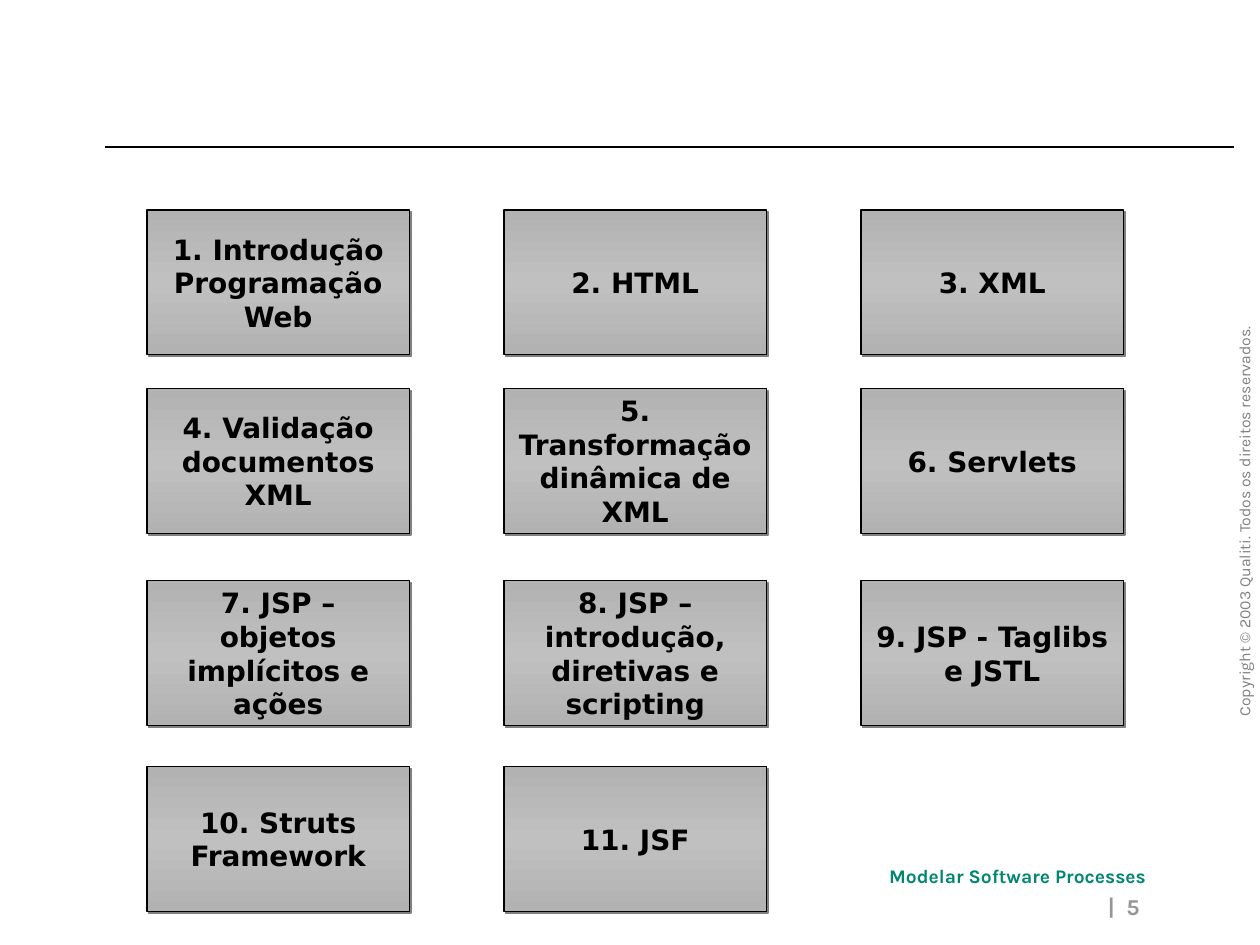
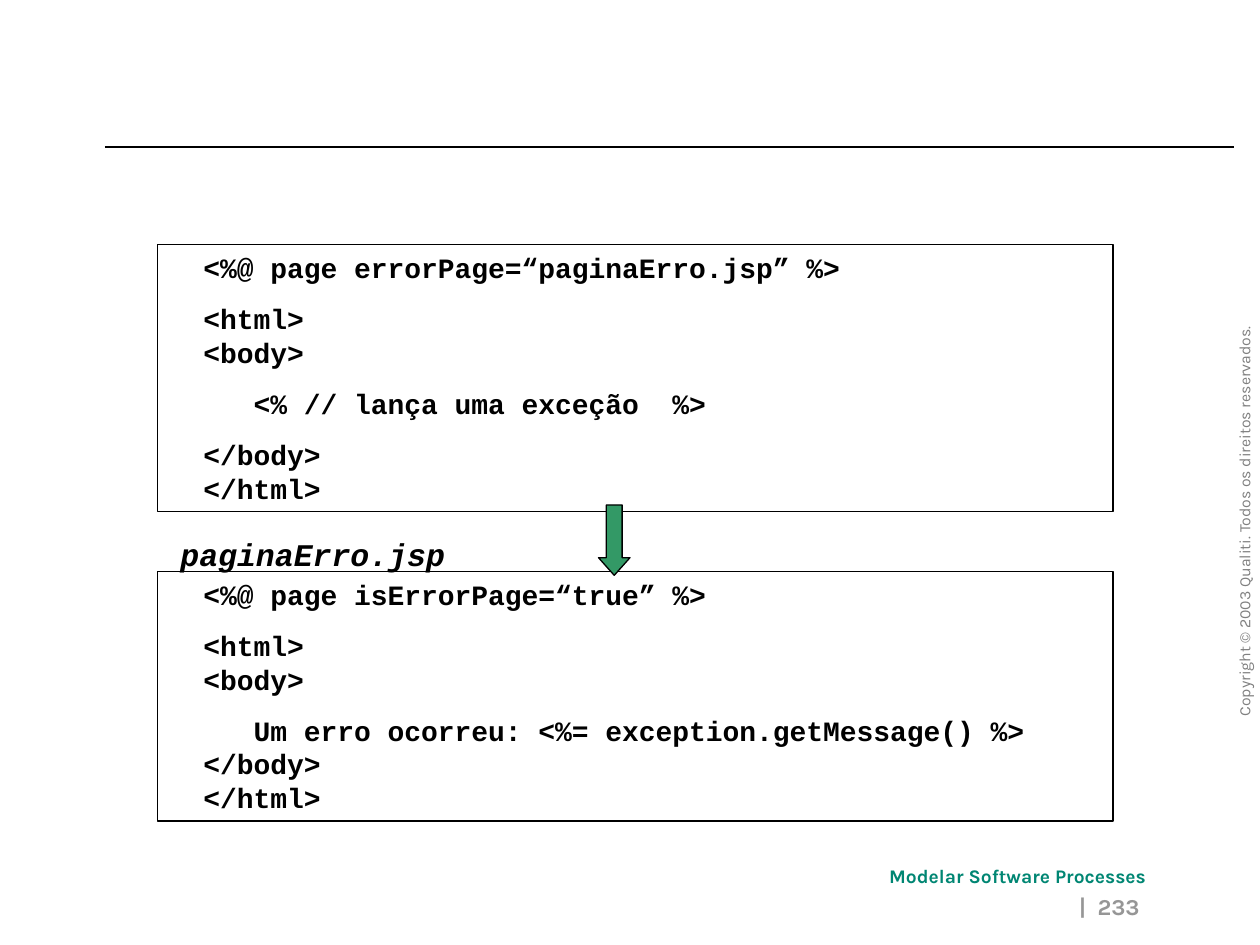
import copy
from dataclasses import dataclass

import lxml.etree
import pptx
import pptx.dml.color
import pptx.enum.shapes
import pptx.enum.text
import pptx.oxml.ns
import pptx.util

ALIGN = pptx.enum.text.PP_ALIGN
ANCHOR = pptx.enum.text.MSO_ANCHOR
SHAPE = pptx.enum.shapes.MSO_SHAPE
qn = pptx.oxml.ns.qn


@dataclass(frozen=True)
class Theme:
    ink: str = "000000"
    copyright_ink: str = "808080"
    number_ink: str = "969696"
    footer_ink: str = "008673"
    arrow_fill: str = "339966"
    module_edge: str = "B2B2B2"
    module_middle: str = "C0C0C0"
    module_shadow: str = "808080"
    brand_font: str = "Karla"
    module_font: str = "DejaVu Sans"
    code_font: str = "Courier New"
    caption_size: float = 18
    body_size: float = 16
    number_size: float = 13
    footer_size: float = 11
    copyright_size: float = 9
    line_width: float = 0.75
    code_gap: float = 10


class Deck:
    """Draws course slides on a grid of 120 columns by 90 rows."""

    def __init__(self, theme):
        self.theme = theme
        self.presentation = pptx.Presentation()
        self.presentation.slide_width = pptx.util.Inches(10)
        self.presentation.slide_height = pptx.util.Inches(7.5)
        self.slide = None

    def place(self, *cells):
        column = self.presentation.slide_width / 120
        row = self.presentation.slide_height / 90
        return [round(cell * unit) for cell, unit in zip(cells, (column, row) * 2)]

    def color(self, value):
        return pptx.dml.color.RGBColor.from_string(value)

    def format(self, frame, font, size, ink, bold=True, italic=False, align=ALIGN.LEFT):
        for paragraph in frame.paragraphs:
            paragraph.alignment = align
            for run in paragraph.runs:
                run.font.name = font
                run.font.size = pptx.util.Pt(size)
                run.font.bold = bold
                run.font.italic = italic
                run.font.color.rgb = self.color(ink)

    def label(self, text, cells, font, size, ink, wrap=True, rotation=0, **style):
        box = self.slide.shapes.add_textbox(*self.place(*cells))
        box.rotation = rotation
        box.text_frame.word_wrap = wrap
        box.text_frame.text = text
        self.format(box.text_frame, font, size, ink, **style)

    def outlined(self, kind, cells):
        shape = self.slide.shapes.add_shape(kind, *self.place(*cells))
        shape.shadow.inherit = False
        shape.line.color.rgb = self.color(self.theme.ink)
        shape.line.width = pptx.util.Pt(self.theme.line_width)
        return shape

    def rule(self, left, right, row):
        line = self.slide.shapes.add_connector(
            pptx.enum.shapes.MSO_CONNECTOR.STRAIGHT, *self.place(left, row, right, row))
        line.line.color.rgb = self.color(self.theme.ink)
        line.line.width = pptx.util.Pt(self.theme.line_width)
        lxml.etree.SubElement(line._element.spPr, qn("a:effectLst"))

    def start(self, number):
        theme = self.theme
        self.slide = self.presentation.slides.add_slide(self.presentation.slide_layouts[6])
        self.rule(10, 117.5, 14)
        self.label("Copyright © 2003 Qualiti. Todos os direitos reservados.",
                   (97.9, 47.3, 41.2, 3), theme.brand_font, theme.copyright_size,
                   theme.copyright_ink, wrap=False, rotation=270, bold=False)
        self.label("Modelar Software Processes", (83.5, 81.7, 26.9, 3.5), theme.brand_font,
                   theme.footer_size, theme.footer_ink, wrap=False)
        self.label(f"|  {number}", (51.7, 84.4, 58, 4), theme.brand_font,
                   theme.number_size, theme.number_ink, align=ALIGN.RIGHT)

    def module(self, text, left, top):
        theme = self.theme
        box = self.outlined(SHAPE.RECTANGLE, (left, top, 25, 13.8))
        box.fill.gradient()
        box.fill.gradient_angle = 90
        stop_list = box._element.spPr.find(".//" + qn("a:gsLst"))
        stop_list.append(copy.deepcopy(stop_list[0]))
        tones = (theme.module_edge, theme.module_middle, theme.module_edge)
        for stop, position, tone in zip(box.fill.gradient_stops, (0, 0.5, 1), tones):
            stop.position = position
            stop.color.rgb = self.color(tone)
        effects = box._element.spPr.find(qn("a:effectLst"))
        shadow = lxml.etree.SubElement(
            effects, qn("a:outerShdw"), dist=str(pptx.util.Pt(1.4)), dir="2700000",
            algn="ctr", rotWithShape="0")
        lxml.etree.SubElement(shadow, qn("a:srgbClr"), val=theme.module_shadow)
        box.text_frame.text = text
        box.text_frame.vertical_anchor = ANCHOR.MIDDLE
        self.format(box.text_frame, theme.module_font, theme.body_size, theme.ink,
                    align=ALIGN.CENTER)

    def code(self, blocks, cells):
        theme = self.theme
        listing = self.outlined(SHAPE.RECTANGLE, cells)
        listing.fill.background()
        frame = listing.text_frame
        frame.vertical_anchor = ANCHOR.TOP
        frame.text = "\n".join(block.replace("\n", "\v") for block in blocks)
        for paragraph in frame.paragraphs[1:]:
            paragraph.space_before = pptx.util.Pt(theme.code_gap)
        self.format(frame, theme.code_font, theme.body_size, theme.ink)

    def down_arrow(self, cells):
        arrow = self.outlined(SHAPE.DOWN_ARROW, cells)
        arrow.adjustments[0] = 0.5
        arrow.adjustments[1] = 0.56
        arrow.fill.solid()
        arrow.fill.fore_color.rgb = self.color(self.theme.arrow_fill)

    def caption(self, text, cells):
        theme = self.theme
        self.label(text, cells, theme.code_font, theme.caption_size, theme.ink, italic=True)


COURSE_MODULES = (
    "Introdução Programação Web", "HTML", "XML",
    "Validação documentos XML", "Transformação dinâmica de XML", "Servlets",
    "JSP – objetos implícitos e ações", "JSP – introdução, diretivas e scripting",
    "JSP - Taglibs e JSTL", "Struts Framework", "JSF",
)
MODULE_ROWS = (20, 37, 55.3, 73)
PAGE_OPENING = "  <html>\n  <body>"
PAGE_CLOSING = "  </body>\n  </html>"
THROWING_PAGE = (
    "  <%@ page errorPage=“paginaErro.jsp” %>",
    PAGE_OPENING,
    "     <% // lança uma exceção  %>",
    PAGE_CLOSING,
)
ERROR_PAGE = (
    "  <%@ page isErrorPage=“true” %>",
    PAGE_OPENING,
    "     Um erro ocorreu: <%= exception.getMessage() %>\n" + PAGE_CLOSING,
)


def main():
    deck = Deck(Theme())

    deck.start(5)
    for index, module in enumerate(COURSE_MODULES):
        row, column = divmod(index, 3)
        deck.module(f"{index + 1}. {module}", 14 + 34 * column, MODULE_ROWS[row])

    deck.start(233)
    deck.code(ERROR_PAGE, (15, 54.4, 91, 23.8))
    deck.code(THROWING_PAGE, (15, 23.3, 91, 25.4))
    deck.down_arrow((57, 48.1, 3, 6.7))
    deck.caption("paginaErro.jsp", (16, 50.4, 30, 4.8))

    deck.presentation.save("out.pptx")


if __name__ == "__main__":
    main()
